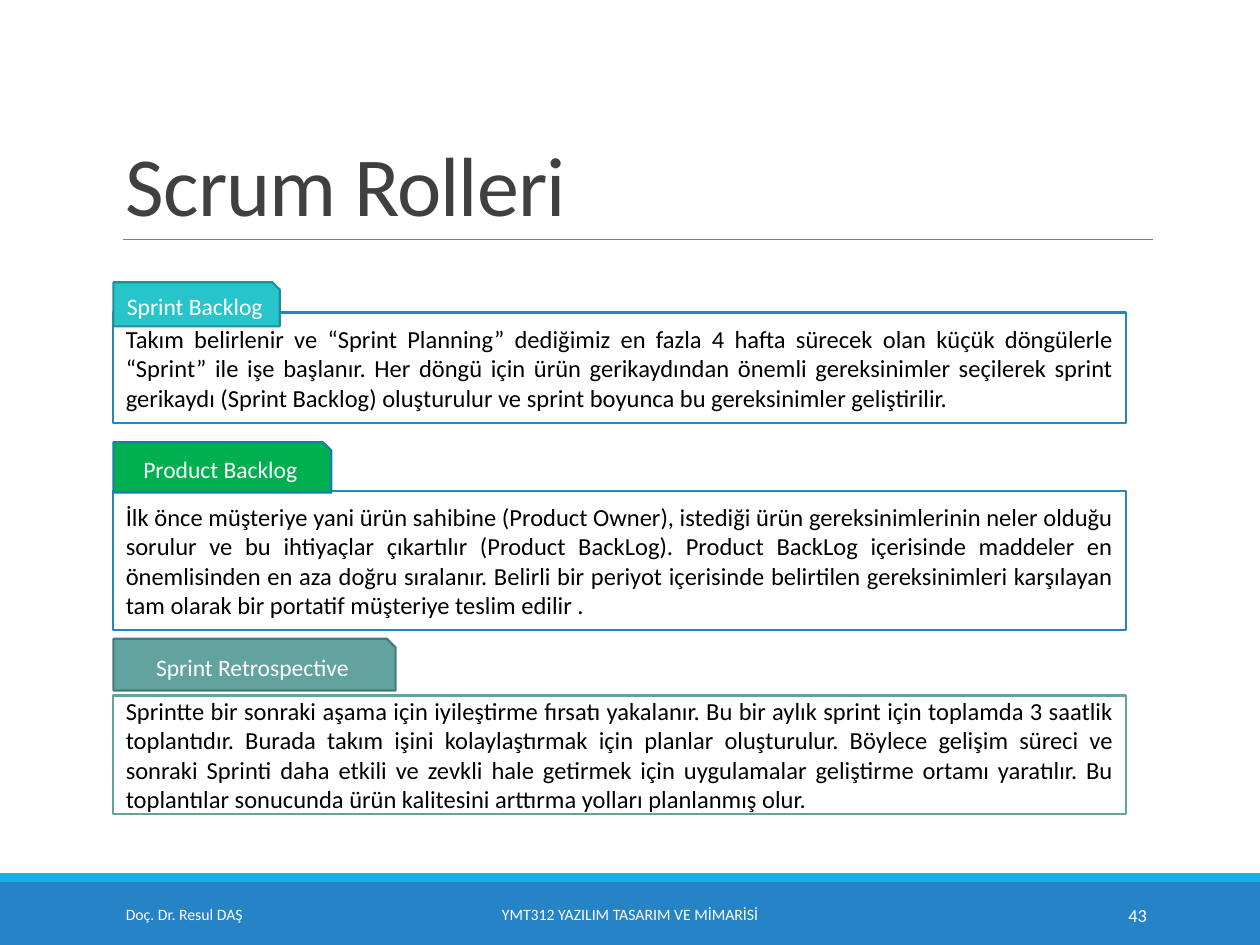
from lxml import etree
from pptx import Presentation, util as u
from pptx.dml.color import RGBColor
from pptx.enum import shapes, text
from pptx.oxml.ns import qn

# The slide is a grid of 100 columns by 75 rows of square cells.
COLS, ROWS = 100, 75
CELL = u.Inches(0.1)
LEFT, WIDE = 9, 80.4

WHITE = RGBColor(0xFF, 0xFF, 0xFF)
BLACK = RGBColor(0x00, 0x00, 0x00)
INK = RGBColor(0x40, 0x40, 0x40)
GRAY = RGBColor(0x80, 0x80, 0x80)
BLUE = RGBColor(0x26, 0x83, 0xC6)
SKY = RGBColor(0x1C, 0xAD, 0xE4)
AQUA = RGBColor(0x28, 0xC4, 0xCC)
TEAL = RGBColor(0x1E, 0x91, 0x97)
GREEN = RGBColor(0x00, 0xB0, 0x50)
NAVY = RGBColor(0x15, 0x80, 0xA9)
SAGE = RGBColor(0x62, 0xA3, 0x9F)
MOSS = RGBColor(0x49, 0x79, 0x76)

RECT = shapes.MSO_SHAPE.RECTANGLE
SNIP = shapes.MSO_SHAPE.SNIP_1_RECTANGLE
ALIGN = text.PP_ALIGN
ANCHOR = text.MSO_ANCHOR

# Tab: label, top, width, height, fill, line. Body: top, height, line, words.
ROLES = [
    (("Sprint Backlog", 22.4, 13.2, 3.5, AQUA, TEAL),
     (24.8, 8.8, BLUE,
      "Takım belirlenir ve “Sprint Planning” dediğimiz en fazla 4 hafta "
      "sürecek olan küçük döngülerle “Sprint” ile işe başlanır. Her döngü "
      "için ürün gerikaydından önemli gereksinimler seçilerek sprint "
      "gerikaydı (Sprint Backlog) oluşturulur ve sprint boyunca bu "
      "gereksinimler geliştirilir.")),
    (("Product Backlog", 35.1, 17.3, 4, GREEN, NAVY),
     (39, 11, BLUE,
      "İlk önce müşteriye yani ürün sahibine (Product Owner), istediği ürün "
      "gereksinimlerinin neler olduğu sorulur ve bu ihtiyaçlar çıkartılır "
      "(Product BackLog). Product BackLog içerisinde maddeler en "
      "önemlisinden en aza doğru sıralanır. Belirli bir periyot içerisinde "
      "belirtilen gereksinimleri karşılayan tam olarak bir portatif "
      "müşteriye teslim edilir .")),
    (("Sprint Retrospective", 50.7, 22.4, 4.1, SAGE, MOSS),
     (55.2, 9.4, SAGE,
      "Sprintte bir sonraki aşama için iyileştirme fırsatı yakalanır. Bu bir "
      "aylık sprint için toplamda 3 saatlik toplantıdır. Burada takım işini "
      "kolaylaştırmak için planlar oluşturulur. Böylece gelişim süreci ve "
      "sonraki Sprinti daha etkili ve zevkli hale getirmek için uygulamalar "
      "geliştirme ortamı yaratılır. Bu toplantılar sonucunda ürün kalitesini "
      "arttırma yolları planlanmış olur.")),
]


def place(*cells):
    return [round(n * CELL) for n in cells]


def write(shape, words, size=14, color=WHITE, align=ALIGN.LEFT,
          anchor=ANCHOR.MIDDLE, lead=None, track=None):
    """Set the words of a shape; track is in hundredths of a point."""
    frame = shape.text_frame
    frame.word_wrap = True
    frame.vertical_anchor = anchor
    par = frame.paragraphs[0]
    par.alignment = align
    if lead:
        par.line_spacing = lead
    run = par.add_run()
    run.text = words
    run.font.name = "Calibri"
    run.font.size = u.Pt(size)
    run.font.color.rgb = color
    if track:
        run.font._element.set("spc", str(track))


def block(slide, kind, box, fill, line=None):
    shape = slide.shapes.add_shape(kind, *place(*box))
    shape.shadow.inherit = False
    shape.fill.solid()
    shape.fill.fore_color.rgb = fill
    if line is None:
        shape.line.fill.background()
    else:
        shape.line.color.rgb = line
        shape.line.width = u.Pt(1.25)
    return shape


def label(slide, box, words, **form):
    write(slide.shapes.add_textbox(*place(*box)), words, **form)


def header(slide, box):
    left, top, wide, high = box
    base = top + high
    rule = slide.shapes.add_connector(
        shapes.MSO_CONNECTOR.STRAIGHT,
        *place(left + 0.8, base, left + wide, base))
    rule.line.color.rgb = GRAY
    rule.line.width = u.Pt(0.5)
    etree.SubElement(rule._element.spPr, qn("a:effectLst"))
    label(slide, box, "Scrum Rolleri", size=48, color=INK,
          anchor=ANCHOR.BOTTOM, lead=0.85, track=-50)


def role(slide, left, wide, tab, body):
    """Place a framed text with its snipped tab on the left edge."""
    top, high, edge, words = body
    frame = block(slide, RECT, (left, top, wide, high), WHITE, edge)
    write(frame, words, color=BLACK, align=ALIGN.JUSTIFY)
    name, top, span, high, fill, edge = tab
    flag = block(slide, SNIP, (left, top, span, high), fill, edge)
    write(flag, name, size=13.5, align=ALIGN.CENTER)


def footer(slide, box):
    left, top, wide, high = box
    block(slide, RECT, box, BLUE)
    block(slide, RECT, (left, top - 0.7, wide, 0.7), SKY)
    for col, span, words, size, align in [
            (9, 20.3, "Doç. Dr. Resul DAŞ", 9, ALIGN.LEFT),
            (30.2, 39.6, "YMT312 YAZILIM TASARIM VE MİMARİSİ", 9,
             ALIGN.CENTER),
            (81.2, 10.8, "43", 10.5, ALIGN.RIGHT)]:
        label(slide, (left + col, top + 0.6, span, 4), words,
              size=size, align=align)


def main():
    deck = Presentation()
    deck.slide_width, deck.slide_height = place(COLS, ROWS)
    slide = deck.slides.add_slide(deck.slide_layouts[6])
    footer(slide, (0, ROWS - 5, COLS, 5))
    header(slide, (LEFT, 3.1, 82.5, 15.9))
    for tab, body in ROLES:
        role(slide, LEFT, WIDE, tab, body)
    deck.save("out.pptx")


if __name__ == "__main__":
    main()
